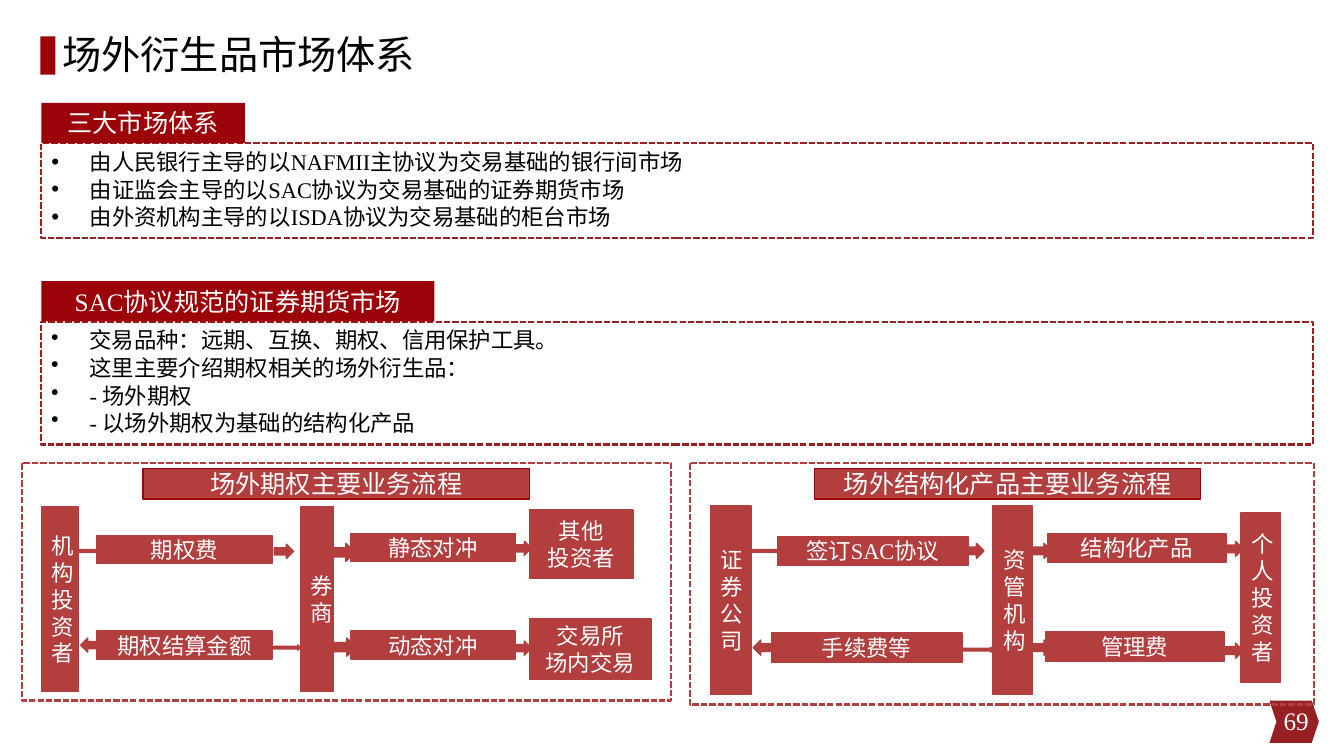
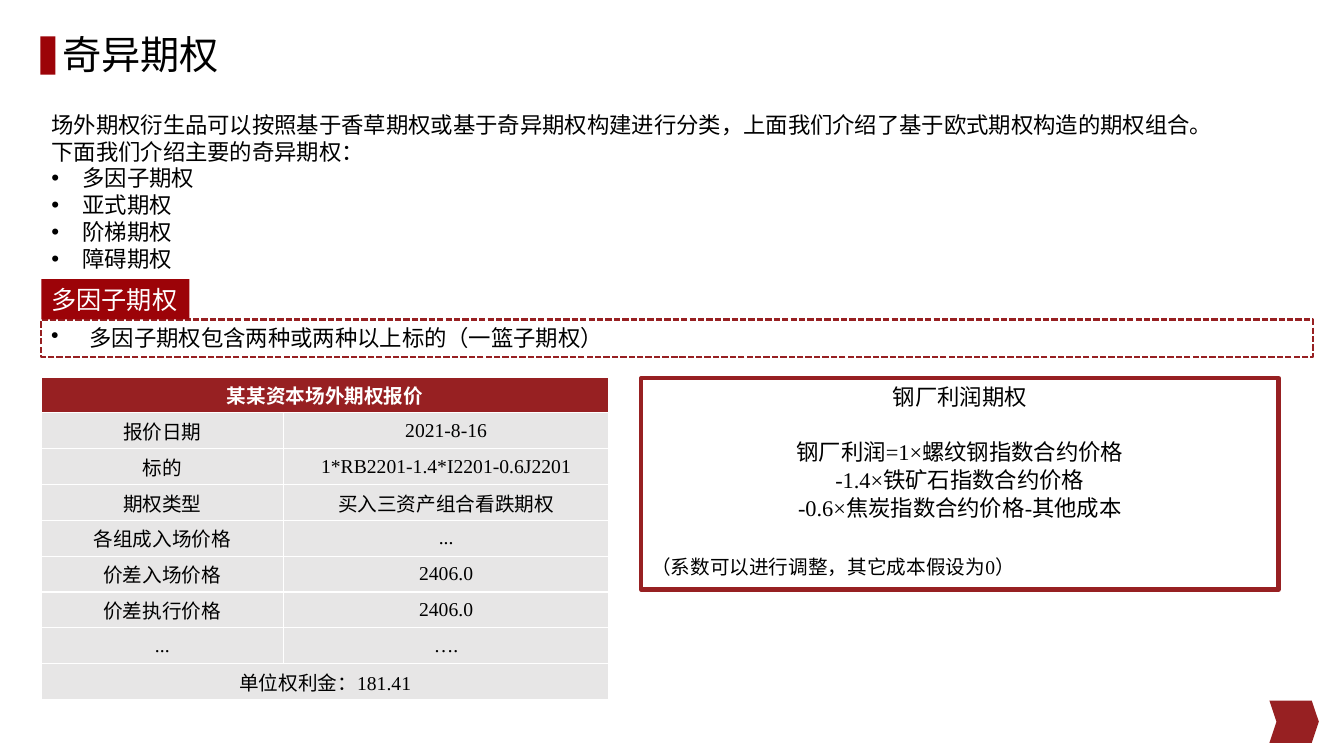
from dataclasses import dataclass

from pptx import Presentation
from pptx import util as u
from pptx.dml.color import RGBColor
from pptx.enum import dml, shapes, text
from pptx.oxml.ns import qn


@dataclass(frozen=True)
class Theme:
    deep: str = "9C0308"
    dark: str = "972022"
    soft: str = "B23E3E"
    grey: str = "E7E6E6"
    black: str = "000000"
    white: str = "FFFFFF"
    latin: str = "Times New Roman"
    asian: str = "Noto Sans CJK SC"
    title: int = 28
    heading: int = 18
    body: int = 16
    small: int = 14


THEME = Theme()
RECT = shapes.MSO_SHAPE.RECTANGLE
ARROW = shapes.MSO_SHAPE.RIGHT_ARROW
CENTER = text.PP_ALIGN.CENTER
MIDDLE = text.MSO_ANCHOR.MIDDLE
LEFT, PANEL_WIDTH, TAG_HEIGHT = 0.41, 12.61, 0.4
BULLET = 0.38

SYSTEM = {
    "title": "场外衍生品市场体系",
    "number": "69",
    "panels": [
        ("三大市场体系", 2.02, 1.42, 0.94, [
            "由人民银行主导的以NAFMII主协议为交易基础的银行间市场",
            "由证监会主导的以SAC协议为交易基础的证券期货市场",
            "由外资机构主导的以ISDA协议为交易基础的柜台市场",
        ]),
        ("SAC协议规范的证券期货市场", 3.9, 3.19, 1.22, [
            "交易品种：远期、互换、期权、信用保护工具。",
            "这里主要介绍期权相关的场外衍生品：",
            "- 场外期权",
            "- 以场外期权为基础的结构化产品",
        ]),
    ],
    "flows": [
        {
            "heading": ("场外期权主要业务流程", 1.42),
            "frame": (0.22, 4.59, 6.44, 2.36),
            "boxes": [
                ("机构投资者", 0.41, 5.03, 0.37, 1.83),
                ("期权费", 0.96, 5.31, 1.74, 0.28),
                ("期权结算金额", 0.96, 6.26, 1.74, 0.28),
                ("券商", 2.98, 5.03, 0.33, 1.83),
                ("静态对冲", 3.48, 5.29, 1.63, 0.28),
                ("动态对冲", 3.48, 6.26, 1.63, 0.28),
                ("其他\n投资者", 5.25, 5.06, 1.03, 0.68),
                ("交易所\n场内交易", 5.25, 6.14, 1.21, 0.6),
            ],
            "arrows": [
                (0.78, 5.44, 0.28, 0.05), (2.7, 6.4, 0.28, 0.05),
                (2.72, 5.4, 0.19, 0.14), (3.28, 5.39, 0.24, 0.18),
                (5.08, 5.37, 0.19, 0.14), (3.22, 6.33, 0.31, 0.18),
                (5.08, 6.36, 0.19, 0.14),
            ],
            "back_arrow": (0.8, 6.33, 0.19, 0.14),
        },
        {
            "heading": ("场外结构化产品主要业务流程", 8.08),
            "frame": (6.84, 4.59, 6.19, 2.4),
            "boxes": [
                ("证券公司", 7.05, 5.02, 0.4, 1.87),
                ("签订SAC协议", 7.71, 5.32, 1.89, 0.29),
                ("手续费等", 7.65, 6.28, 1.89, 0.29),
                ("资管机构", 9.85, 5.02, 0.39, 1.87),
                ("结构化产品", 10.39, 5.29, 1.77, 0.29),
                ("管理费", 10.37, 6.27, 1.77, 0.29),
                ("个人投资者", 12.31, 5.09, 0.39, 1.68),
            ],
            "arrows": [
                (7.45, 5.44, 0.31, 0.05), (9.54, 6.42, 0.31, 0.05),
                (9.56, 5.39, 0.2, 0.15), (10.23, 5.39, 0.2, 0.15),
                (12.13, 5.37, 0.2, 0.15), (10.23, 6.35, 0.2, 0.15),
                (12.13, 6.38, 0.2, 0.15),
            ],
            "back_arrow": (7.47, 6.35, 0.2, 0.15),
        },
    ],
}

EXOTIC = {
    "title": "奇异期权",
    "intro": [
        "场外期权衍生品可以按照基于香草期权或基于奇异期权构建进行分类，上面我们介绍了基于欧式期权构造的期权组合。",
        "下面我们介绍主要的奇异期权：",
    ],
    "kinds": ["多因子期权", "亚式期权", "阶梯期权", "障碍期权"],
    "panel": ("多因子期权", 1.47, 3.17, 0.37,
              ["多因子期权包含两种或两种以上标的（一篮子期权）"]),
    "formula": [
        "钢厂利润期权",
        ("钢厂利润=1×螺纹钢指数合约价格", {"before": 20}),
        "-1.4×铁矿石指数合约价格",
        "-0.6×焦炭指数合约价格-其他成本",
        ("（系数可以进行调整，其它成本假设为0）",
         {"before": 24, "size": THEME.small, "align": text.PP_ALIGN.LEFT}),
    ],
    "quote": [
        ("某某资本场外期权报价",),
        ("报价日期", "2021-8-16"),
        ("标的", "1*RB2201-1.4*I2201-0.6J2201"),
        ("期权类型", "买入三资产组合看跌期权"),
        ("各组成入场价格", "..."),
        ("价差入场价格", "2406.0"),
        ("价差执行价格", "2406.0"),
        ("...", "…."),
        ("单位权利金：181.41",),
    ],
}


def inches(*lengths):
    return [u.Inches(length) for length in lengths]


def rgb(color):
    return RGBColor.from_string(color)


def place(shape, *at):
    shape.left, shape.top, shape.width, shape.height = inches(*at)


def style_para(para, size=THEME.body, color=THEME.black, align=text.PP_ALIGN.LEFT,
               bullet=0, before=0, after=0, spacing=None, latin=THEME.latin, bold=False):
    props = para._p.get_or_add_pPr()
    props.set("marL", str(u.Inches(bullet)))
    props.set("indent", str(-u.Inches(bullet)))
    mark = props.makeelement(qn("a:buChar" if bullet else "a:buNone"), {})
    if bullet:
        mark.set("char", "•")
    props.append(mark)
    para.alignment = align
    para.space_before, para.space_after = u.Pt(before), u.Pt(after)
    if spacing:
        para.line_spacing = spacing
    font = para.font
    font.size, font.bold, font.name = u.Pt(size), bold, latin
    font.color.rgb = rgb(color)
    defaults = props.find(qn("a:defRPr"))
    defaults.append(defaults.makeelement(qn("a:ea"), {"typeface": THEME.asian}))


def write(frame, lines, anchor=text.MSO_ANCHOR.TOP, **style):
    frame.word_wrap = True
    frame.auto_size = text.MSO_AUTO_SIZE.NONE
    frame.vertical_anchor = anchor
    for index, line in enumerate(lines):
        words, changes = (line, {}) if isinstance(line, str) else line
        para = frame.paragraphs[0] if index == 0 else frame.add_paragraph()
        para.text = words
        style_para(para, **{**style, **changes})


def outline(shape, color, width, dashed=False):
    shape.line.color.rgb = rgb(color)
    shape.line.width = u.Pt(width)
    if dashed:
        shape.line.dash_style = dml.MSO_LINE.SQUARE_DOT


def add_shape(parent, kind, at, fill=None, line=None, width=1, dashed=False):
    shape = parent.add_shape(kind, *inches(*at))
    shape.shadow.inherit = False
    if fill:
        shape.fill.solid()
        shape.fill.fore_color.rgb = rgb(fill)
    else:
        shape.fill.background()
    if line:
        outline(shape, line, width, dashed)
    else:
        shape.line.fill.background()
    return shape


def decorate_layout(layout, page):
    place(layout.placeholders[0], 0.52, -0.02, 11.31, 1.17)
    chevron = add_shape(page.shapes, shapes.MSO_SHAPE.CHEVRON,
                        (12.59, 6.95, 0.49, 0.42), THEME.dark)
    chevron.adjustments[0] = 0.167
    bar = add_shape(page.shapes, RECT, (0.4, 0.36, 0.15, 0.38), THEME.deep)
    for shape in (chevron, bar):
        layout.shapes.element.append(shape.element)


def add_page(deck, title):
    page = deck.slides.add_slide(deck.slide_layouts[1])
    write(page.shapes.title.text_frame, [title], MIDDLE, size=THEME.title,
          spacing=0.9, latin=THEME.asian)
    return page


def add_panel(page, panel, body=None, align=CENTER):
    heading, tag_width, top, height, lines = panel
    at = (LEFT, top, PANEL_WIDTH, height)
    if body is None:
        body = add_shape(page.shapes, RECT, at)
    place(body, *at)
    outline(body, THEME.dark, 1.5, True)
    write(body.text_frame, lines, bullet=BULLET, after=0.5)
    tag = add_shape(page.shapes, RECT, (LEFT, top - TAG_HEIGHT, tag_width, TAG_HEIGHT), THEME.deep)
    write(tag.text_frame, [heading], size=THEME.heading, color=THEME.white,
          align=align, after=0.5)


def add_flow(page, flow):
    group = page.shapes.add_group_shape()
    for label, *at in flow["boxes"]:
        box = add_shape(group.shapes, RECT, at, THEME.soft, THEME.soft)
        write(box.text_frame, label.split("\n"), MIDDLE, color=THEME.white, align=CENTER)
    for at in flow["arrows"]:
        add_shape(group.shapes, ARROW, at, THEME.soft, THEME.soft)
    back = add_shape(group.shapes, ARROW, flow["back_arrow"], THEME.soft, THEME.soft)
    back.rotation = 180
    add_shape(page.shapes, RECT, flow["frame"], line=THEME.soft, width=1.5, dashed=True)
    heading, left = flow["heading"]
    banner = add_shape(page.shapes, RECT, (left, 4.65, 3.83, 0.3), THEME.soft, THEME.deep)
    write(banner.text_frame, [heading], MIDDLE, size=THEME.heading,
          color=THEME.white, align=CENTER)


def add_quote(page, rows):
    columns = (2.4, 3.23)
    height = 3.2
    table = page.shapes.add_table(len(rows), len(columns),
                                  *inches(LEFT, 3.74, sum(columns), height)).table
    table.horz_banding = False
    for column, width in zip(table.columns, columns):
        column.width = u.Inches(width)
    for cell in table.iter_cells():
        cell.margin_top = cell.margin_bottom = u.Inches(0.02)
        cell.vertical_anchor = MIDDLE
    for index, values in enumerate(rows):
        header = index == 0
        if len(values) == 1:
            table.cell(index, 0).merge(table.cell(index, 1))
        for column, value in enumerate(values):
            cell = table.cell(index, column)
            cell.fill.solid()
            cell.fill.fore_color.rgb = rgb(THEME.dark if header else THEME.grey)
            cell.text = value
            style_para(cell.text_frame.paragraphs[0], size=THEME.small, align=CENTER,
                       color=THEME.white if header else THEME.black, bold=header)


def build_system(page):
    bodies = [page.placeholders[1], None]
    for panel, body in zip(SYSTEM["panels"], bodies):
        add_panel(page, panel, body)
    for flow in SYSTEM["flows"]:
        add_flow(page, flow)
    number = page.shapes.add_textbox(*inches(10.08, 6.95, 3, 0.4))
    write(number.text_frame, [SYSTEM["number"]], MIDDLE, size=THEME.heading,
          color=THEME.white, align=text.PP_ALIGN.RIGHT)


def build_exotic(page):
    intro = page.placeholders[1]
    place(intro, LEFT, 1.05, 11.9, 1.72)
    kinds = [(kind, {"bullet": 0.31}) for kind in EXOTIC["kinds"]]
    write(intro.text_frame, EXOTIC["intro"] + kinds)
    add_panel(page, EXOTIC["panel"], align=text.PP_ALIGN.LEFT)
    formula = add_shape(page.shapes, RECT, (6.36, 3.75, 6.32, 2.1), line=THEME.dark, width=3)
    write(formula.text_frame, EXOTIC["formula"], align=CENTER, after=0.5)
    add_quote(page, EXOTIC["quote"])


def main():
    deck = Presentation()
    deck.slide_width, deck.slide_height = inches(13.33, 7.5)
    system = add_page(deck, SYSTEM["title"])
    decorate_layout(system.slide_layout, system)
    build_system(system)
    build_exotic(add_page(deck, EXOTIC["title"]))
    deck.save("out.pptx")


if __name__ == "__main__":
    main()
